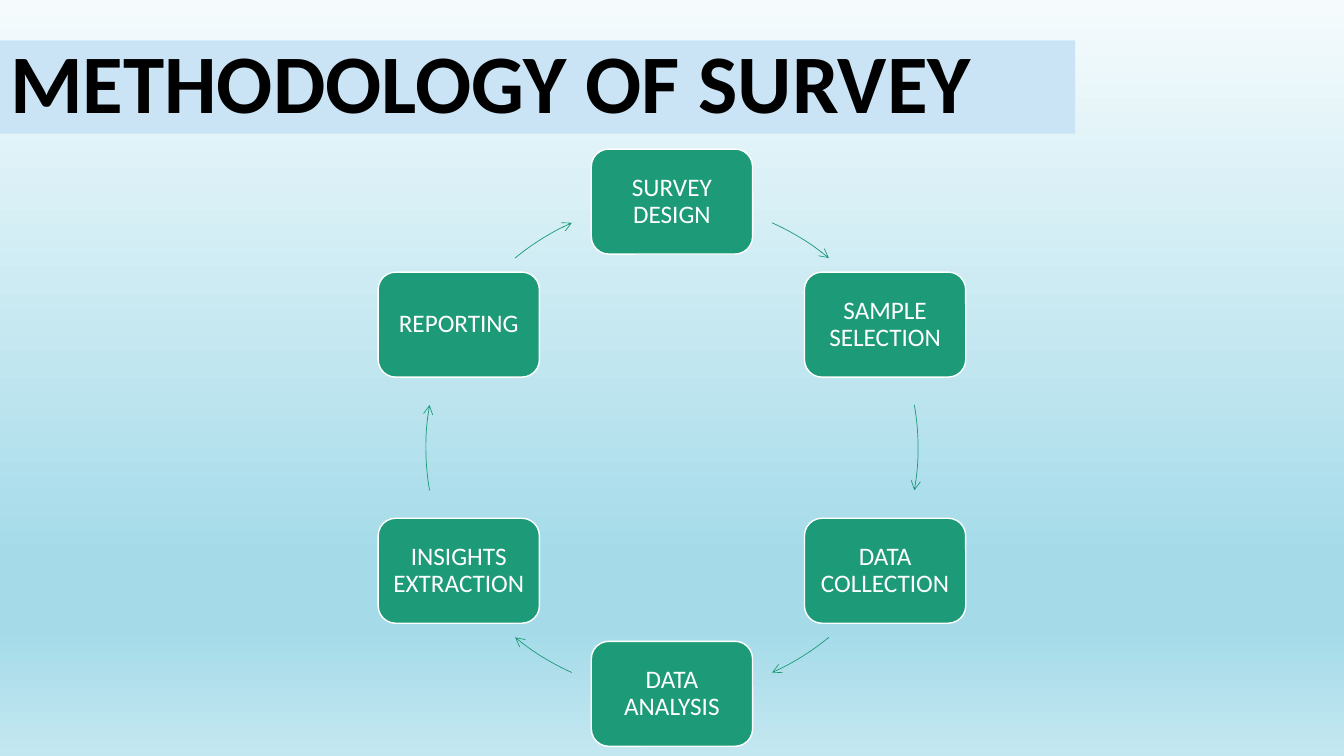
from dataclasses import dataclass
from math import cos, radians, sin

from lxml.etree import SubElement
from pptx import Presentation
from pptx.dml.color import RGBColor
from pptx.enum.shapes import MSO_SHAPE as Shape
from pptx.enum.text import MSO_ANCHOR as Anchor, MSO_AUTO_SIZE as AutoSize, PP_ALIGN as Align
from pptx.oxml.ns import qn
from pptx.util import Pt

EMU_PER_PX = 7620
SLIDE_SIZE = (1600, 900)
CENTER_X, CENTER_Y, RADIUS = 800, 533, 293
STEP_WIDTH, STEP_HEIGHT = 192, 125
STEPS = [
    "SURVEY DESIGN",
    "SAMPLE SELECTION",
    "DATA COLLECTION",
    "DATA ANALYSIS",
    "INSIGHTS EXTRACTION",
    "REPORTING",
]
ARROW_SPANS = [(24, 39.6), (80, 100), (140.4, 156)]


@dataclass(frozen=True)
class Theme:
    font: str = "Calibri"
    title_size: float = 59.4
    step_size: float = 18
    step_border: float = 1
    arrow_width: float = 0.5
    title_text: str = "000000"
    title_band: str = "CAE4F6"
    step: str = "1D9A78"
    light: str = "FFFFFF"
    backdrop: tuple = ((0, "F5FBFD"), (74, "A5DBE9"), (83, "A5DBE9"), (100, "C3E7F0"))


THEME = Theme()


def px(*lengths):
    return [round(length * EMU_PER_PX) for length in lengths]


def color(value):
    return RGBColor.from_string(value)


def paint(shape, fill):
    shape.fill.solid()
    shape.fill.fore_color.rgb = color(fill)


def outline(shape, stroke, width):
    shape.line.color.rgb = color(stroke)
    shape.line.width = Pt(width)


def write(frame, text, size, ink, align, bold=False):
    frame.text = text
    frame.word_wrap = True
    frame.auto_size = AutoSize.NONE
    frame.vertical_anchor = Anchor.MIDDLE
    paragraph = frame.paragraphs[0]
    paragraph.alignment = align
    paragraph.line_spacing = 0.9
    font = paragraph.runs[0].font
    font.name, font.size, font.bold = THEME.font, Pt(size), bold
    font.color.rgb = color(ink)


def set_backdrop(slide):
    fill = slide.background.fill
    fill.gradient()
    fill.gradient_angle = 270
    stops = slide.element.find(".//" + qn("a:gsLst"))
    for stop in list(stops):
        stops.remove(stop)
    for percent, value in THEME.backdrop:
        stop = SubElement(stops, qn("a:gs"), pos=str(percent * 1000))
        SubElement(stop, qn("a:srgbClr"), val=value)


def set_title(slide, text):
    title = slide.shapes.title
    title.left, title.top, title.width, title.height = px(0, 48, 1280, 111)
    paint(title, THEME.title_band)
    write(title.text_frame, text, THEME.title_size, THEME.title_text, Align.LEFT, True)


def add_step(slide, label, angle):
    left = CENTER_X + RADIUS * sin(radians(angle)) - STEP_WIDTH / 2
    top = CENTER_Y - RADIUS * cos(radians(angle)) - STEP_HEIGHT / 2
    step = slide.shapes.add_shape(
        Shape.ROUNDED_RECTANGLE, *px(left, top, STEP_WIDTH, STEP_HEIGHT))
    step.shadow.inherit = False
    paint(step, THEME.step)
    outline(step, THEME.light, THEME.step_border)
    frame = step.text_frame
    frame.margin_left, frame.margin_top, frame.margin_right, frame.margin_bottom = px(8, 8, 8, 8)
    write(frame, label, THEME.step_size, THEME.light, Align.CENTER)


def add_cycle_arrow(slide, start, end):
    arrow = slide.shapes.add_shape(
        Shape.ARC, *px(CENTER_X - RADIUS, CENTER_Y - RADIUS, 2 * RADIUS, 2 * RADIUS))
    for index, angle in enumerate((start, end)):
        arrow.adjustments[index] = (angle - 90) % 360 * 0.6
    arrow.shadow.inherit = False
    arrow.fill.background()
    outline(arrow, THEME.step, THEME.arrow_width)
    SubElement(arrow.line._get_or_add_ln(), qn("a:tailEnd"), type="arrow")


def main():
    deck = Presentation()
    deck.slide_width, deck.slide_height = px(*SLIDE_SIZE)
    slide = deck.slides.add_slide(deck.slide_layouts[5])
    set_backdrop(slide)
    set_title(slide, "METHODOLOGY OF SURVEY")
    for index, label in enumerate(STEPS):
        add_step(slide, label, index * 360 / len(STEPS))
        half, position = divmod(index, len(ARROW_SPANS))
        start, end = ARROW_SPANS[position]
        add_cycle_arrow(slide, start + 180 * half, end + 180 * half)
    deck.save("out.pptx")


if __name__ == "__main__":
    main()
